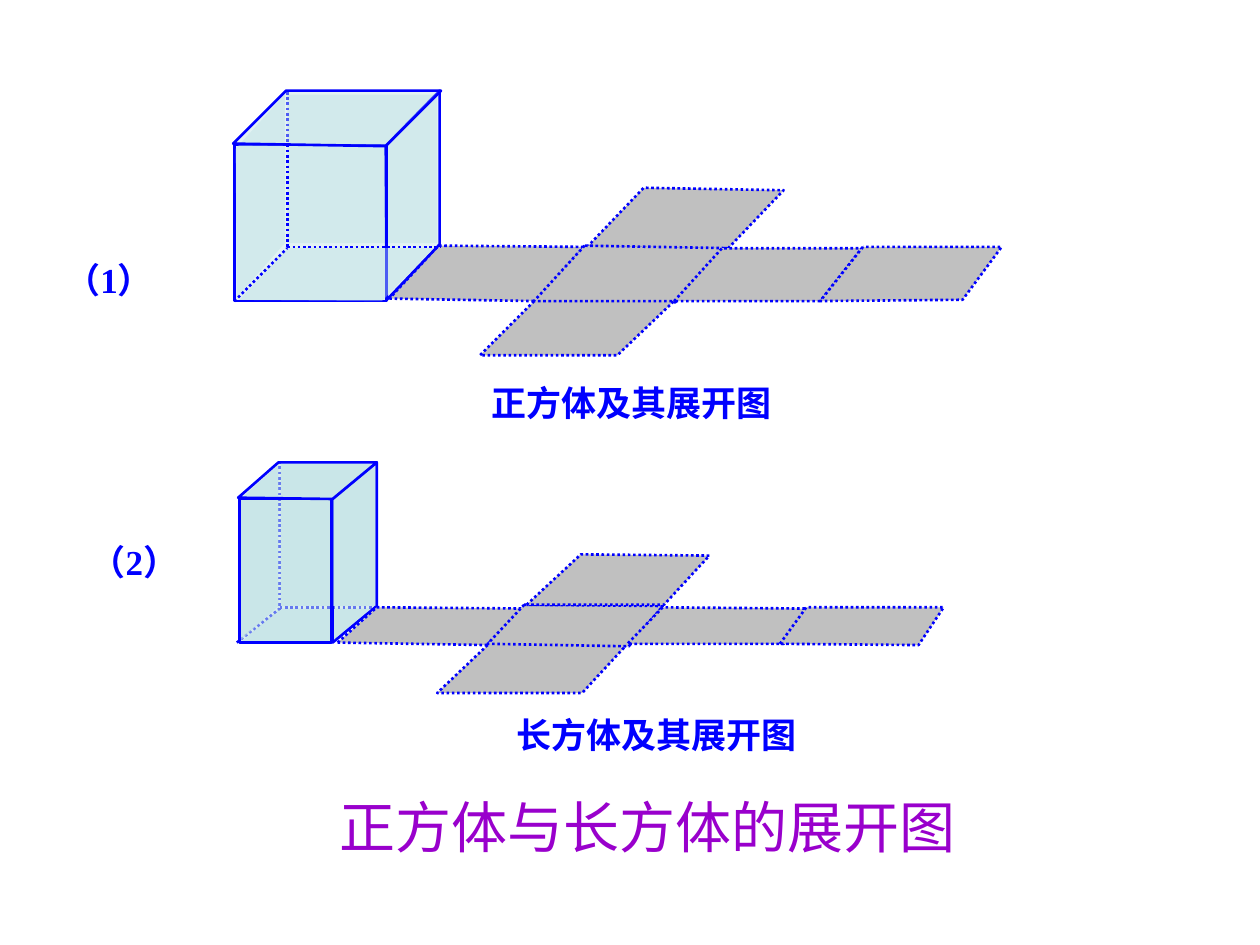
import pptx
import pptx.dml.color
import pptx.enum.dml
import pptx.enum.shapes
import pptx.enum.text
import pptx.oxml.ns
import pptx.util
from lxml import etree
from pptx.util import Inches

BLUE = pptx.dml.color.RGBColor(0x00, 0x00, 0xFF)
PURPLE = pptx.dml.color.RGBColor(0x99, 0x00, 0xCC)
GLASS = pptx.dml.color.RGBColor(0xBB, 0xE0, 0xE3)
GRAY = pptx.dml.color.RGBColor(0xC0, 0xC0, 0xC0)

CUBE_OPACITY = 41
CUBOID_OPACITY = 54

CUBE_HIDDEN_EDGES = [
    ((2.28, 0.73), (2.28, 1.98)),
    ((1.86, 2.39), (2.28, 1.97)),
    ((2.28, 1.96), (3.5, 1.96)),
]
CUBOID_HIDDEN_EDGES = [
    ((2.22, 3.66), (2.22, 4.84)),
    ((1.88, 5.1), (2.22, 4.83)),
    ((2.22, 4.82), (2.99, 4.82)),
]
CUBE_NET = [
    [(3.09, 2.37), (4.26, 2.39), (4.64, 1.96), (3.48, 1.95)],
    [(4.66, 1.96), (5.11, 1.49), (6.22, 1.51), (5.77, 1.98)],
    [(4.64, 1.95), (4.22, 2.41), (5.36, 2.4), (5.77, 1.97)],
    [(4.24, 2.39), (3.81, 2.82), (4.9, 2.82), (5.35, 2.39)],
    [(5.35, 2.39), (5.73, 1.97), (6.84, 1.97), (6.51, 2.39)],
    [(6.85, 1.96), (6.51, 2.39), (7.64, 2.38), (7.95, 1.96)],
]
CUBOID_NET = [
    [(2.68, 5.1), (2.99, 4.82), (4.16, 4.83), (3.88, 5.12)],
    [(3.87, 5.12), (3.47, 5.5), (4.62, 5.5), (4.99, 5.1), (3.88, 5.1)],
    [(4.16, 4.8), (3.87, 5.11), (4.99, 5.13), (5.26, 4.81)],
    [(4.18, 4.8), (4.61, 4.4), (5.63, 4.41), (5.27, 4.8)],
    [(5.26, 4.82), (4.98, 5.11), (6.22, 5.11), (6.41, 4.83)],
    [(6.19, 5.11), (6.4, 4.82), (7.49, 4.82), (7.29, 5.12)],
]
LABELS = [
    ("（1）", 0.42, 2, 1.06),
    ("（2）", 0.62, 4.24, 1.06),
    ("正方体及其展开图", 3.8, 2.98, 4.37),
    ("长方体及其展开图", 4, 5.61, 4.37),
]


class NetSlide:
    font_name = "Times New Roman"
    line_width = pptx.util.Pt(1.5)

    def __init__(self, slide):
        self.slide = slide

    def add_text(self, text_frame, text, size, color, bold):
        text_frame.word_wrap = True
        text_frame.auto_size = pptx.enum.text.MSO_AUTO_SIZE.NONE
        text_frame.vertical_anchor = pptx.enum.text.MSO_ANCHOR.TOP
        run = text_frame.paragraphs[0].add_run()
        run.text = text
        run.font.name = self.font_name
        run.font.size = pptx.util.Pt(size)
        run.font.bold = bold
        run.font.color.rgb = color

    def title(self, text, left, top, width, height):
        title = self.slide.shapes.title
        title.left, title.top = Inches(left), Inches(top)
        title.width, title.height = Inches(width), Inches(height)
        self.add_text(title.text_frame, text, 32, PURPLE, False)
        title.text_frame.paragraphs[0].alignment = pptx.enum.text.PP_ALIGN.CENTER

    def label(self, text, left, top, width):
        box = self.slide.shapes.add_textbox(
            Inches(left), Inches(top), Inches(width), Inches(0.44))
        self.add_text(box.text_frame, text, 20, BLUE, True)

    def style(self, shape, color, opacity, outlined, dotted=False):
        shape.shadow.inherit = False
        shape.fill.solid()
        shape.fill.fore_color.rgb = color
        if opacity < 100:
            fill_color = shape._element.spPr.find(
                pptx.oxml.ns.qn("a:solidFill")).find(pptx.oxml.ns.qn("a:srgbClr"))
            alpha = etree.SubElement(fill_color, pptx.oxml.ns.qn("a:alpha"))
            alpha.set("val", str(opacity * 1000))
        if outlined:
            self.outline(shape.line, dotted)
        else:
            shape.line.fill.background()

    def outline(self, line, dotted):
        line.color.rgb = BLUE
        line.width = self.line_width
        if dotted:
            line.dash_style = pptx.enum.dml.MSO_LINE.ROUND_DOT

    def polygon(self, points, color, opacity, outlined, dotted=False):
        corners = [(Inches(x), Inches(y)) for x, y in points]
        builder = self.slide.shapes.build_freeform(*corners[0])
        builder.add_line_segments(corners[1:], close=True)
        self.style(builder.convert_to_shape(), color, opacity, outlined, dotted)

    def face(self, points, opacity, outlined=False):
        self.polygon(points, GLASS, opacity, outlined)

    def rectangle(self, left, top, width, height, opacity, outlined=False):
        shape = self.slide.shapes.add_shape(
            pptx.enum.shapes.MSO_SHAPE.RECTANGLE,
            Inches(left), Inches(top), Inches(width), Inches(height))
        self.style(shape, GLASS, opacity, outlined)

    def net(self, panels):
        for points in panels:
            self.polygon(points, GRAY, 100, True, True)

    def hidden_edges(self, edges):
        for start, end in edges:
            connector = self.slide.shapes.add_connector(
                pptx.enum.shapes.MSO_CONNECTOR.STRAIGHT,
                *(Inches(value) for value in start + end))
            self.outline(connector.line, True)
            etree.SubElement(connector._element.spPr, pptx.oxml.ns.qn("a:effectLst"))


def draw_cube(page):
    page.rectangle(2.28, 0.75, 1.19, 1.18, CUBE_OPACITY)
    page.net(CUBE_NET)
    page.face([(3.07, 2.38), (3.49, 1.94), (3.49, 0.72), (3.06, 1.16)], CUBE_OPACITY, True)
    page.rectangle(1.86, 1.15, 1.21, 1.24, CUBE_OPACITY, True)
    page.hidden_edges(CUBE_HIDDEN_EDGES)
    page.face([(1.9, 2.38), (2.29, 1.97), (3.44, 1.97), (3.03, 2.39)], CUBE_OPACITY)
    page.face([(1.88, 2.36), (2.26, 1.93), (2.26, 0.75), (1.87, 1.18)], CUBE_OPACITY)
    page.face([(1.85, 1.14), (2.27, 0.72), (3.5, 0.72), (3.06, 1.16)], CUBE_OPACITY, True)


def draw_cuboid(page):
    page.face([(1.92, 5.09), (2.22, 4.83), (2.94, 4.83), (2.62, 5.1)], CUBOID_OPACITY)
    page.hidden_edges(CUBOID_HIDDEN_EDGES)
    page.face([(2.64, 3.96), (2.64, 5.1), (2.99, 4.81), (2.99, 3.67)], CUBOID_OPACITY, True)
    page.rectangle(2.23, 3.68, 0.75, 1.13, CUBOID_OPACITY)
    page.face([(1.9, 3.97), (1.9, 5.09), (2.21, 4.81), (2.21, 3.69)], CUBOID_OPACITY)
    page.rectangle(1.9, 3.96, 0.73, 1.14, CUBOID_OPACITY, True)
    page.face([(1.89, 3.95), (2.21, 3.67), (2.99, 3.67), (2.64, 3.96)], CUBOID_OPACITY, True)
    page.net(CUBOID_NET)


def main():
    presentation = pptx.Presentation()
    presentation.slide_width = Inches(10)
    presentation.slide_height = Inches(7.5)
    page = NetSlide(presentation.slides.add_slide(presentation.slide_layouts[5]))
    page.title("正方体与长方体的展开图", 1.82, 6.24, 6.64, 0.64)
    for label in LABELS:
        page.label(*label)
    draw_cube(page)
    draw_cuboid(page)
    presentation.save("out.pptx")


if __name__ == "__main__":
    main()
